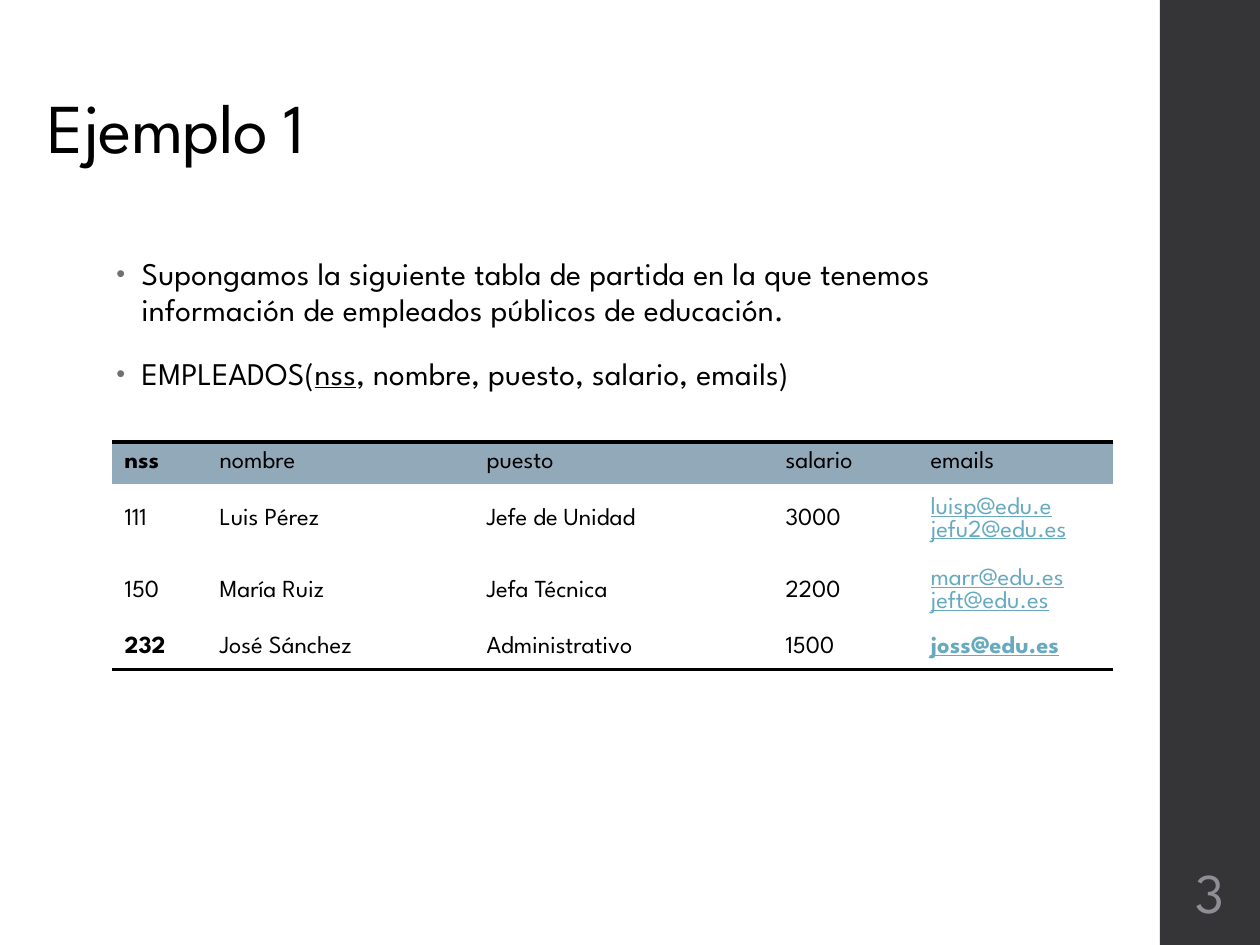
import lxml.etree
import pptx
import pptx.dml.color
import pptx.enum.shapes
import pptx.enum.text
import pptx.oxml.ns
import pptx.util

PX = 914400 / 126
FONT = "League Spartan"
BLACK = pptx.dml.color.RGBColor(0x00, 0x00, 0x00)
WHITE = pptx.dml.color.RGBColor(0xFF, 0xFF, 0xFF)
CHARCOAL = pptx.dml.color.RGBColor(0x35, 0x35, 0x37)
BULLET_GRAY = pptx.dml.color.RGBColor(0x6F, 0x6F, 0x74)
NUMBER_GRAY = pptx.dml.color.RGBColor(0x8E, 0x8E, 0x94)
HEADER_BLUE = pptx.dml.color.RGBColor(0x92, 0xA9, 0xB9)
LINK_BLUE = pptx.dml.color.RGBColor(0x67, 0xAA, 0xBF)


def px(*lengths):
    return [pptx.util.Emu(round(length * PX)) for length in lengths]


def add_text(paragraph, text, size=14, color=BLACK, bold=False, underline=False, spacing=0):
    run = paragraph.add_run()
    run.text = text
    run.font.name = FONT
    run.font.size = pptx.util.Pt(size)
    run.font.color.rgb = color
    run.font.bold = bold
    run.font.underline = underline
    if spacing:
        run._r.get_or_add_rPr().set("spc", str(spacing))


deck = pptx.Presentation()
deck.slide_width, deck.slide_height = px(1260, 945)
slide = deck.slides.add_slide(deck.slide_layouts[5])

sidebar = slide.shapes.add_shape(pptx.enum.shapes.MSO_SHAPE.RECTANGLE, *px(1160, 0, 100, 945))
sidebar.shadow.inherit = False
sidebar.fill.solid()
sidebar.fill.fore_color.rgb = CHARCOAL
sidebar.line.fill.background()

title = slide.shapes.title
title.left, title.top, title.width, title.height = px(35, 36, 1118, 139)
title.text_frame.vertical_anchor = pptx.enum.text.MSO_ANCHOR.BOTTOM
title.text_frame.auto_size = pptx.enum.text.MSO_AUTO_SIZE.NONE
heading = title.text_frame.paragraphs[0]
heading.alignment = pptx.enum.text.PP_ALIGN.LEFT
heading.line_spacing = 0.9
add_text(heading, "Ejemplo 1", size=40, spacing=-50)

points = [
    [("Supongamos la siguiente tabla de partida en la que tenemos "
      "información de empleados públicos de educación.", False)],
    [("EMPLEADOS(", False), ("nss", True), (", nombre, puesto, salario, emails)", False)],
]
body = slide.shapes.add_textbox(*px(104, 251, 1002, 232)).text_frame
body.word_wrap = True
body.margin_right = px(40)[0]
for index, pieces in enumerate(points):
    point = body.add_paragraph() if index else body.paragraphs[0]
    point.line_spacing = 0.95
    point.space_before = pptx.util.Pt(14)
    point.space_after = pptx.util.Pt(2)
    properties = point._p.get_or_add_pPr()
    properties.set("marL", "182880")
    properties.set("indent", "-182880")
    bullet_color = lxml.etree.SubElement(properties, pptx.oxml.ns.qn("a:buClr"))
    lxml.etree.SubElement(bullet_color, pptx.oxml.ns.qn("a:srgbClr"), val=str(BULLET_GRAY))
    lxml.etree.SubElement(properties, pptx.oxml.ns.qn("a:buSzPct"), val="80000")
    lxml.etree.SubElement(properties, pptx.oxml.ns.qn("a:buFont"), typeface="Arial")
    lxml.etree.SubElement(properties, pptx.oxml.ns.qn("a:buChar"), char="•")
    for text, underline in pieces:
        add_text(point, text, size=18, underline=underline, spacing=10)

page_number = slide.shapes.add_textbox(*px(1163, 850, 94, 82)).text_frame
page_number.word_wrap = True
page_number.vertical_anchor = pptx.enum.text.MSO_ANCHOR.MIDDLE
page_number.margin_left, page_number.margin_right = px(4, 4)
page_number.paragraphs[0].alignment = pptx.enum.text.PP_ALIGN.CENTER
add_text(page_number.paragraphs[0], "3", size=32, color=NUMBER_GRAY)

employees = [
    ["nss", "nombre", "puesto", "salario", "emails"],
    ["111", "Luis Pérez", "Jefe de Unidad", "3000", "luisp@edu.e\njefu2@edu.es"],
    ["150", "María Ruiz", "Jefa Técnica", "2200", "marr@edu.es\njeft@edu.es"],
    ["232", "José Sánchez", "Administrativo", "1500", "joss@edu.es"],
]
bold_texts = {"nss", "232", "joss@edu.es"}
rule_sides = {0: "a:lnT", len(employees) - 1: "a:lnB"}
table_frame = slide.shapes.add_table(4, 5, *px(112, 442, 1001, 188))
table = table_frame.table
table.first_row = False
table.horz_banding = False
table._tbl.tblPr.find(pptx.oxml.ns.qn("a:tableStyleId")).text = "{2D5ABB26-0587-4C30-8999-92F81FD0307C}"
for column, width in zip(table.columns, px(95, 267, 299, 145, 195)):
    column.width = width
for row in table.rows:
    row.height = 0
table_frame.height = px(188)[0]

for row_index, record in enumerate(employees):
    for column_index, value in enumerate(record):
        cell = table.cell(row_index, column_index)
        cell.vertical_anchor = pptx.enum.text.MSO_ANCHOR.MIDDLE
        cell.fill.solid()
        cell.fill.fore_color.rgb = WHITE if row_index else HEADER_BLUE
        is_email = "@" in value
        for line_index, line in enumerate(value.split("\n")):
            frame = cell.text_frame
            paragraph = frame.add_paragraph() if line_index else frame.paragraphs[0]
            add_text(paragraph, line, color=LINK_BLUE if is_email else BLACK,
                     bold=line in bold_texts, underline=is_email)
            end_format = lxml.etree.SubElement(paragraph._p, pptx.oxml.ns.qn("a:endParaRPr"), sz="1400")
            lxml.etree.SubElement(end_format, pptx.oxml.ns.qn("a:latin"), typeface=FONT)
        if row_index in rule_sides:
            rule = lxml.etree.Element(pptx.oxml.ns.qn(rule_sides[row_index]), w=str(pptx.util.Pt(2)))
            rule_fill = lxml.etree.SubElement(rule, pptx.oxml.ns.qn("a:solidFill"))
            lxml.etree.SubElement(rule_fill, pptx.oxml.ns.qn("a:srgbClr"), val=str(BLACK))
            cell._tc.get_or_add_tcPr().insert(0, rule)

deck.save("out.pptx")
